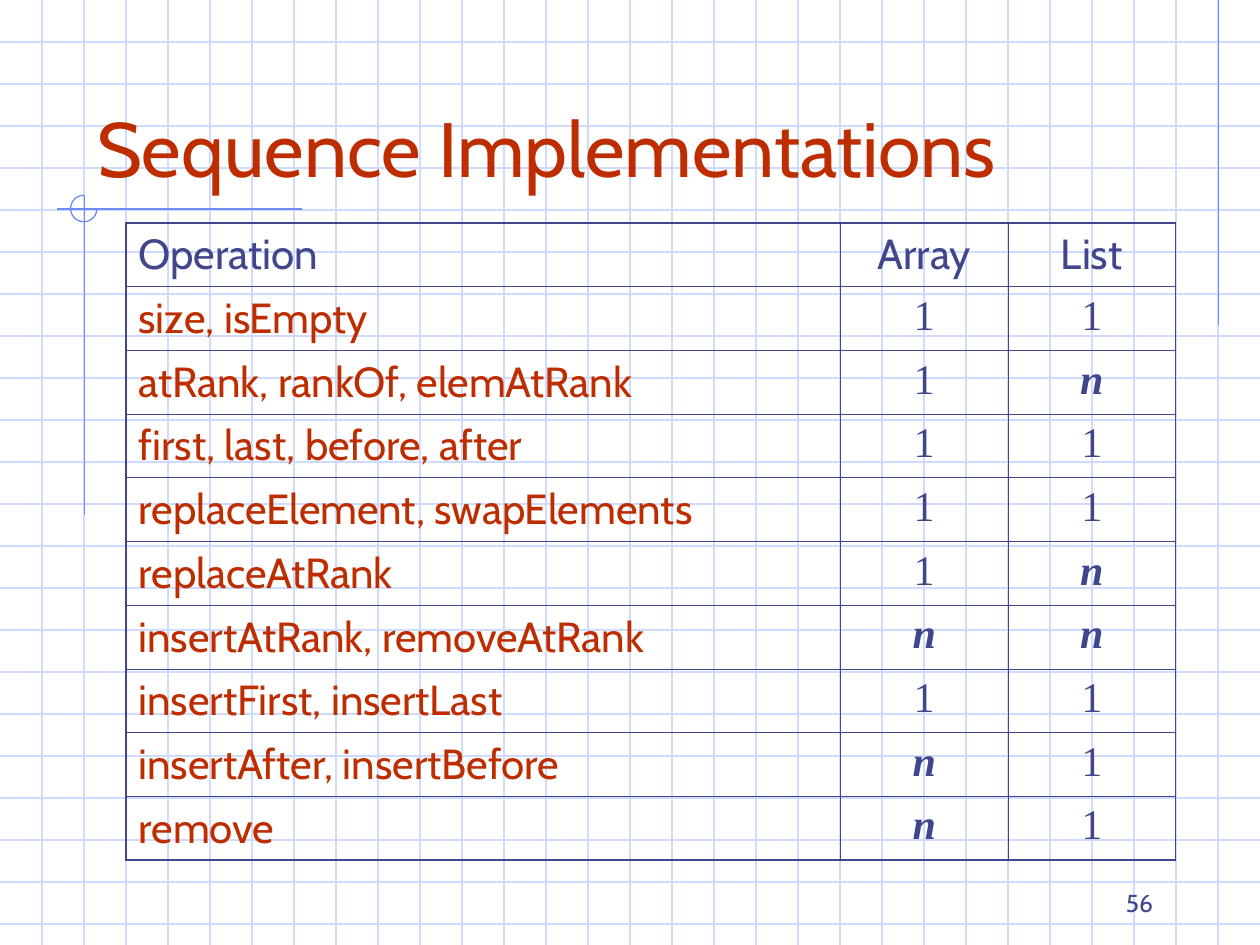
from dataclasses import dataclass

from lxml.etree import SubElement
from pptx import Presentation
from pptx.dml.color import RGBColor
from pptx.enum.shapes import MSO_CONNECTOR, MSO_SHAPE
from pptx.enum.text import MSO_ANCHOR, MSO_AUTO_SIZE, PP_ALIGN
from pptx.oxml.ns import qn
from pptx.util import Inches, Pt


@dataclass(frozen=True)
class Theme:
    grid: RGBColor = RGBColor.from_string("CFDBFD")
    accent: RGBColor = RGBColor.from_string("6F89F7")
    navy: RGBColor = RGBColor.from_string("40458C")
    red: RGBColor = RGBColor.from_string("BE2D00")
    sans: str = "Cabin"
    serif: str = "Times New Roman"
    title_size: Pt = Pt(44)
    table_size: Pt = Pt(24)
    number_size: Pt = Pt(14)
    line_width: Pt = Pt(0.75)
    outer_border: Pt = Pt(1.08)
    inner_border: Pt = Pt(0.45)


theme = Theme()
WIDTH, HEIGHT = 10, 7.5


def add_line(page, x1, y1, x2, y2, color):
    line = page.shapes.add_connector(
        MSO_CONNECTOR.STRAIGHT, Inches(x1), Inches(y1), Inches(x2), Inches(y2))
    line.line.color.rgb = color
    line.line.width = theme.line_width
    SubElement(line._element.spPr, qn("a:effectLst"))


def style_paragraph(para, font_name, size, color, align=PP_ALIGN.LEFT):
    para.alignment = align
    para.font.name = font_name
    para.font.size = size
    para.font.color.rgb = color


deck = Presentation()
deck.slide_width, deck.slide_height = Inches(WIDTH), Inches(HEIGHT)
page = deck.slides.add_slide(deck.slide_layouts[5])

# Graph paper, three squares to the inch
for step in range(1, 23):
    add_line(page, 0, step / 3, WIDTH, step / 3, theme.grid)
for step in range(1, 30):
    add_line(page, step / 3, 0, step / 3, HEIGHT, theme.grid)

# Accent lines and the three-quarter circle where they cross
add_line(page, 9.67, 0, 9.67, 2.58, theme.accent)
add_line(page, 2.4, 1.66, 0.45, 1.66, theme.accent)
add_line(page, 0.67, 1.55, 0.67, 4.09, theme.accent)
arc = page.shapes.add_shape(
    MSO_SHAPE.ARC, Inches(0.56), Inches(1.55), Inches(0.21), Inches(0.21))
arc.adjustments[0] = 0
arc.adjustments[1] = 162  # 270 degrees
arc.shadow.inherit = False
arc.fill.background()
arc.line.color.rgb = theme.accent
arc.line.width = theme.line_width

# Title, brought in front of the grid
title = page.shapes.title
page.shapes._spTree.append(title._element)
title.left, title.top = Inches(0.67), Inches(0.33)
title.width, title.height = Inches(8.83), Inches(1.25)
title.text_frame.text = "Sequence Implementations"
title.text_frame.auto_size = MSO_AUTO_SIZE.NONE
title.text_frame.vertical_anchor = MSO_ANCHOR.BOTTOM
style_paragraph(title.text_frame.paragraphs[0], theme.sans, theme.title_size, theme.red)

# Running times
rows = [
    ("Operation", "Array", "List"),
    ("size, isEmpty", "1", "1"),
    ("atRank, rankOf, elemAtRank", "1", "n"),
    ("first, last, before, after", "1", "1"),
    ("replaceElement, swapElements", "1", "1"),
    ("replaceAtRank", "1", "n"),
    ("insertAtRank, removeAtRank", "n", "n"),
    ("insertFirst, insertLast", "1", "1"),
    ("insertAfter, insertBefore", "n", "1"),
    ("remove", "n", "1"),
]
column_widths = [5.67, 1.33, 1.33]
last_row, last_column = len(rows) - 1, len(column_widths) - 1
table = page.shapes.add_table(
    len(rows), len(column_widths), Inches(1), Inches(1.77),
    Inches(sum(column_widths)), Inches(0.5 * len(rows))).table
table.first_row = table.horz_banding = False
for column, width in zip(table.columns, column_widths):
    column.width = Inches(width)

for r, values in enumerate(rows):
    for c, value in enumerate(values):
        cell = table.cell(r, c)
        cell.text = value
        para = cell.text_frame.paragraphs[0]
        is_label = r == 0 or c == 0
        style_paragraph(
            para,
            theme.sans if is_label else theme.serif,
            theme.table_size,
            theme.red if r > 0 and c == 0 else theme.navy,
            PP_ALIGN.LEFT if c == 0 else PP_ALIGN.CENTER)
        para.font.bold = para.font.italic = value == "n"

        outer_sides = {"lnL": c == 0, "lnR": c == last_column,
                       "lnT": r == 0, "lnB": r == last_row}
        properties = cell._tc.get_or_add_tcPr()
        for side, is_outer in outer_sides.items():
            width = theme.outer_border if is_outer else theme.inner_border
            border = SubElement(properties, qn(f"a:{side}"), w=str(int(width)))
            fill = SubElement(border, qn("a:solidFill"))
            SubElement(fill, qn("a:srgbClr"), val=str(theme.navy))
        cell.fill.background()

# Page number
number = page.shapes.add_textbox(Inches(7.17), Inches(6.83), Inches(2.08), Inches(0.5))
number.text_frame.word_wrap = True
number.text_frame.vertical_anchor = MSO_ANCHOR.BOTTOM
number.text_frame.text = "56"
style_paragraph(number.text_frame.paragraphs[0], theme.sans, theme.number_size,
                theme.navy, PP_ALIGN.RIGHT)

deck.save("out.pptx")
